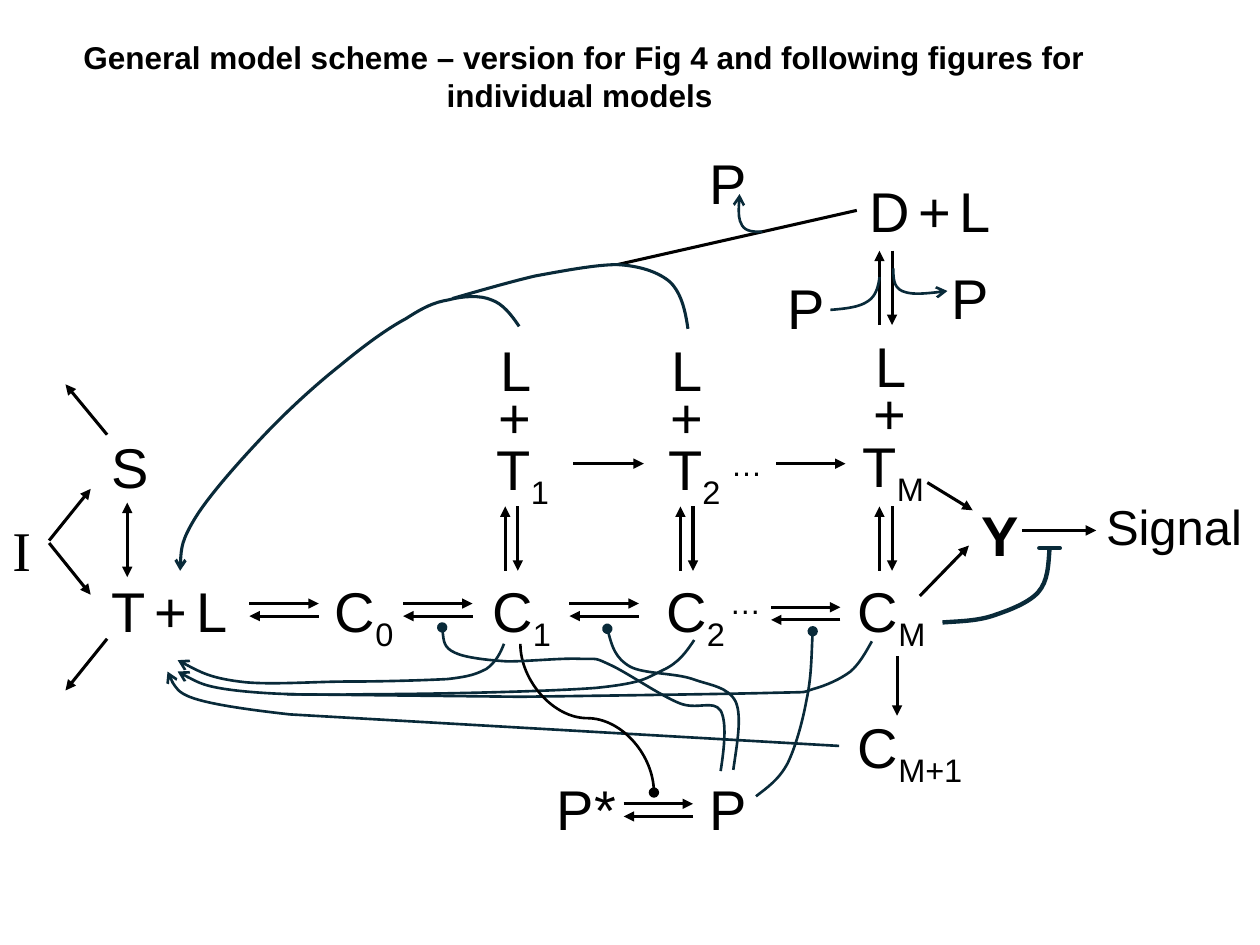
import pptx
import pptx.util
from pptx.dml.color import RGBColor
from pptx.enum.shapes import MSO_CONNECTOR, MSO_SHAPE
from pptx.enum.text import MSO_AUTO_SIZE, PP_ALIGN
from pptx.oxml.ns import qn
from pptx.oxml.xmlchemy import OxmlElement
from pptx.util import Inches

BLACK = RGBColor(0x00, 0x00, 0x00)
NAVY = RGBColor(0x09, 0x2A, 0x39)
TEAL = RGBColor(0x15, 0x60, 0x82)


class Scheme:
    """Draws the parts of a reaction scheme on one slide."""

    font = "Arial"
    size = 32
    small_size = 18
    thin, medium, thick = 1.5, 1.75, 2.5

    def __init__(self, slide):
        self.slide = slide

    def stroke(self, shape, color, width, head=None, tail=None):
        shape.line.color.rgb = color
        shape.line.width = pptx.util.Pt(width)
        line = shape.line._get_or_add_ln()
        for tag, kind in (("a:headEnd", head), ("a:tailEnd", tail)):
            if kind:
                end = OxmlElement(tag)
                end.set("type", kind)
                line.append(end)

    def arrow(self, start, finish, head=None, tail="triangle", shapes=None,
              kind=MSO_CONNECTOR.STRAIGHT, width=medium):
        shapes = shapes or self.slide.shapes
        connector = shapes.add_connector(kind, *map(Inches, start + finish))
        connector.element.spPr.append(OxmlElement("a:effectLst"))
        self.stroke(connector, BLACK, width, head, tail)
        # The line must come before the effect list
        properties = connector.element.spPr
        properties.append(properties.find(qn("a:effectLst")))
        return connector

    def reversible(self, x, y, length=0.55, vertical=False):
        """Two opposite arrows side by side; x, y is the top left corner."""
        shapes = self.slide.shapes.add_group_shape().shapes
        gap = 0.1
        if vertical:
            self.arrow((x + gap, y), (x + gap, y + length), shapes=shapes)
            self.arrow((x, y + length), (x, y), shapes=shapes)
        else:
            self.arrow((x, y), (x + length, y), shapes=shapes)
            self.arrow((x + length, y + gap), (x, y + gap), shapes=shapes)

    def curve(self, start, *segments, tail=None, width=thin, shapes=None):
        """Each segment has 2 numbers for a line or 6 for a Bezier curve."""
        shapes = shapes or self.slide.shapes
        numbers = [Inches(number) for segment in segments for number in segment]
        builder = shapes.build_freeform(*map(Inches, start))
        builder.add_line_segments(zip(numbers[::2], numbers[1::2]), close=False)
        shape = builder.convert_to_shape()
        nodes = iter(list(shape.element.iter(qn("a:lnTo"))))
        for segment in segments:
            node = next(nodes)
            if len(segment) == 6:
                bezier = OxmlElement("a:cubicBezTo")
                node.addprevious(bezier)
                for part in (node, next(nodes), next(nodes)):
                    bezier.append(part[0])
                    part.getparent().remove(part)
        shape.shadow.inherit = False
        shape.fill.background()
        self.stroke(shape, NAVY, width, tail=tail)

    def label(self, x, y, width, height, *paragraphs, size=size, font=font,
              bold=False, centered=False, wrap=False, spacing=None):
        """A paragraph is a tuple of runs; a leading "_" marks a subscript."""
        box = self.slide.shapes.add_textbox(*map(Inches, (x, y, width, height)))
        frame = box.text_frame
        frame.word_wrap = wrap
        frame.auto_size = MSO_AUTO_SIZE.SHAPE_TO_FIT_TEXT
        for index, pieces in enumerate(paragraphs):
            paragraph = frame.add_paragraph() if index else frame.paragraphs[0]
            paragraph.alignment = PP_ALIGN.CENTER if centered else PP_ALIGN.LEFT
            paragraph.line_spacing = spacing
            for piece in pieces:
                run = paragraph.add_run()
                run.text = piece.lstrip("_")
                run.font.name = font
                run.font.size = pptx.util.Pt(self.small_size if piece == " " else size)
                run.font.bold = bold
                run.font.color.rgb = BLACK
                if piece.startswith("_"):
                    run.font._element.set("baseline", "-25000")

    def inhibition(self):
        """Blunt-ended curve from CM to the signal."""
        shapes = self.slide.shapes.add_group_shape().shapes
        self.curve((7.48, 4.94), (7.61, 4.93, 7.74, 4.93, 7.87, 4.89),
                   (7.99, 4.85, 8.16, 4.79, 8.24, 4.7),
                   (8.32, 4.61, 8.32, 4.48, 8.33, 4.35),
                   width=self.thick, shapes=shapes)
        bar = shapes.add_shape(MSO_SHAPE.MATH_MINUS, Inches(8.22), Inches(4.35),
                               Inches(0.22), Inches(0))
        bar.shadow.inherit = False
        bar.fill.solid()
        bar.fill.fore_color.rgb = TEAL
        self.stroke(bar, NAVY, self.thick)


def main():
    presentation = pptx.Presentation()
    presentation.slide_width = Inches(10)
    presentation.slide_height = Inches(7.5)
    scheme = Scheme(presentation.slides.add_slide(presentation.slide_layouts[6]))

    # Title
    scheme.label(0.46, 0.25, 8.35, 0.71,
                 ("General model scheme – version for Fig 4 and following "
                  "figures for individual models ",),
                 size=18, bold=True, centered=True, wrap=True)

    # Species
    for x, y, width, *runs in (
            (0.79, 4.53, 1.13, "T", " ", "+", " ", "L"),
            (6.8, 1.35, 1.18, "D", " ", "+", " ", "L"),
            (2.56, 4.53, 0.69, "C", "_0"), (3.81, 4.53, 0.69, "C", "_1"),
            (5.19, 4.53, 0.69, "C", "_2"), (6.71, 4.53, 0.78, "C", "_M"),
            (6.71, 5.61, 1.12, "C", "_M+1"), (0.79, 3.38, 0.5, "S"),
            (4.32, 6.1, 0.68, "P*"), (5.53, 6.1, 0.5, "P"),
            (6.15, 2.12, 0.5, "P"), (7.45, 2.04, 0.5, "P"), (5.53, 1.13, 0.5, "P")):
        scheme.label(x, y, width, 0.64, runs)
    for x, y, width, subscript in ((3.83, 2.76, 0.64, "_1"), (5.19, 2.76, 0.64, "_2"),
                                   (6.7, 2.73, 0.85, "_M ")):
        scheme.label(x, y, width, 1.24, ("L ",), ("+ ",), ("T", subscript),
                     centered=True, spacing=0.7)
    for x, y in ((5.69, 4.58), (5.7, 3.48)):
        scheme.label(x, y, 0.45, 0.4, ("…",), size=18, centered=True)
    scheme.label(7.69, 3.92, 0.5, 0.64, ("Y",), bold=True)
    scheme.label(8.68, 3.89, 1.3, 0.57, ("Signal",), size=28)
    scheme.label(0, 4.04, 0.35, 0.64, ("I",), font="Times New Roman")

    # Reversible reactions
    for x, y in ((1.98, 4.79), (3.2, 4.79), (4.52, 4.79), (6.12, 4.82), (4.95, 6.38)):
        scheme.reversible(x, y)
    for x in (4.01, 5.4, 6.98):
        scheme.reversible(x, 4.02, 0.51, vertical=True)
    scheme.reversible(6.98, 1.99, 0.59, vertical=True)

    # One-way reactions
    for start, finish in (
            ((8.11, 4.21), (8.7, 4.21)), ((7.3, 4.73), (7.69, 4.33)),
            ((6.16, 3.68), (6.71, 3.68)), ((4.55, 3.68), (5.11, 3.68)),
            ((7.36, 3.83), (7.72, 4.05)), ((7.12, 5.21), (7.12, 5.68)),
            ((0.39, 4.29), (0.72, 3.88)), ((0.39, 4.31), (0.72, 4.72)),
            ((0.85, 3.45), (0.52, 3.05)), ((0.85, 5.07), (0.52, 5.48))):
        scheme.arrow(start, finish)
    scheme.arrow((1.01, 3.99), (1.01, 4.58), head="triangle")
    scheme.arrow((6.8, 1.67), (4.9, 2.1), tail=None)

    # Dissociation back to T + L from the C states
    scheme.curve((6.66, 5.92), (2.3, 5.67), (1.41, 5.57, 1.37, 5.45, 1.33, 5.33),
                 tail="arrow")
    scheme.curve((4, 5.11), (3.97, 5.19, 3.93, 5.26, 3.86, 5.31),
                 (3.78, 5.35, 3.73, 5.37, 3.55, 5.39), (3.36, 5.4, 3.04, 5.41, 2.76, 5.41),
                 (2.49, 5.41, 2.12, 5.44, 1.9, 5.41), (1.67, 5.38, 1.54, 5.31, 1.41, 5.24),
                 tail="arrow")
    scheme.curve((5.51, 5.08), (5.45, 5.17, 5.39, 5.26, 5.26, 5.32),
                 (5.13, 5.38, 5.12, 5.42, 4.73, 5.46), (4.34, 5.49, 3.4, 5.51, 2.93, 5.51),
                 (2.45, 5.52, 2.13, 5.51, 1.87, 5.48), (1.62, 5.45, 1.52, 5.39, 1.41, 5.33),
                 tail="arrow")
    scheme.curve((6.92, 5.09), (6.87, 5.18, 6.82, 5.27, 6.75, 5.33),
                 (6.67, 5.39, 6.56, 5.44, 6.45, 5.47), (6.35, 5.5, 6.48, 5.49, 6.09, 5.5),
                 (5.7, 5.51, 4.13, 5.53, 4.13, 5.53), (2.28, 5.51))

    # Regulation by P and C1
    scheme.inhibition()
    feedback = scheme.arrow((5.25, 5.17), (4.07, 6.23), tail="oval",
                            kind=MSO_CONNECTOR.CURVE, width=scheme.thin)
    feedback.element.spPr.find(qn("a:xfrm")).set("rot", str(270 * 60000))
    scheme.curve((6, 6.32), (6.09, 6.25, 6.18, 6.19, 6.25, 6.06),
                 (6.31, 5.94, 6.37, 5.73, 6.4, 5.56), (6.44, 5.38, 6.44, 5.19, 6.45, 5.01),
                 tail="oval")
    scheme.curve((5.82, 6.11), (5.85, 5.9, 5.89, 5.69, 5.84, 5.57),
                 (5.78, 5.45, 5.64, 5.44, 5.5, 5.39), (5.36, 5.34, 5.11, 5.35, 5, 5.29),
                 (4.88, 5.22, 4.85, 5.1, 4.82, 4.99), tail="oval")
    scheme.curve((5.72, 6.12), (5.75, 5.93, 5.77, 5.73, 5.72, 5.64),
                 (5.66, 5.55, 5.53, 5.64, 5.39, 5.58), (5.24, 5.52, 4.98, 5.34, 4.85, 5.28),
                 (4.72, 5.22, 4.75, 5.23, 4.62, 5.23), (4.48, 5.22, 4.2, 5.25, 4.03, 5.25),
                 (3.87, 5.24, 3.69, 5.22, 3.61, 5.18), (3.52, 5.14, 3.52, 5.06, 3.51, 4.98),
                 tail="oval")

    # Dissociation back to T + L from the T states
    scheme.curve((4.12, 2.59), (4.06, 2.5, 3.99, 2.41, 3.9, 2.38),
                 (3.81, 2.34, 3.67, 2.35, 3.56, 2.38), (3.44, 2.4, 3.36, 2.44, 3.22, 2.53),
                 (3.07, 2.61, 2.88, 2.75, 2.7, 2.9), (2.51, 3.05, 2.29, 3.25, 2.1, 3.45),
                 (1.91, 3.65, 1.66, 3.93, 1.55, 4.11), (1.44, 4.29, 1.43, 4.41, 1.43, 4.53),
                 tail="arrow", width=scheme.medium)
    scheme.curve((5.46, 2.61), (5.44, 2.47, 5.41, 2.33, 5.32, 2.24),
                 (5.23, 2.16, 5.08, 2.11, 4.9, 2.1), (4.73, 2.1, 4.47, 2.15, 4.25, 2.19),
                 (4.03, 2.24, 3.59, 2.37, 3.59, 2.37), width=scheme.medium)

    # P entering and leaving
    scheme.curve((7.09, 2.13), (7.09, 2.2, 7.09, 2.28, 7.16, 2.31),
                 (7.23, 2.34, 7.37, 2.33, 7.52, 2.31), tail="arrow")
    scheme.curve((6.59, 2.46), (6.71, 2.45, 6.82, 2.44, 6.89, 2.39),
                 (6.95, 2.35, 6.97, 2.28, 6.98, 2.2))
    scheme.curve((6.05, 1.84), (5.99, 1.84, 5.92, 1.84, 5.89, 1.79),
                 (5.86, 1.74, 5.86, 1.64, 5.87, 1.54), tail="arrow")

    presentation.save("out.pptx")


if __name__ == "__main__":
    main()
